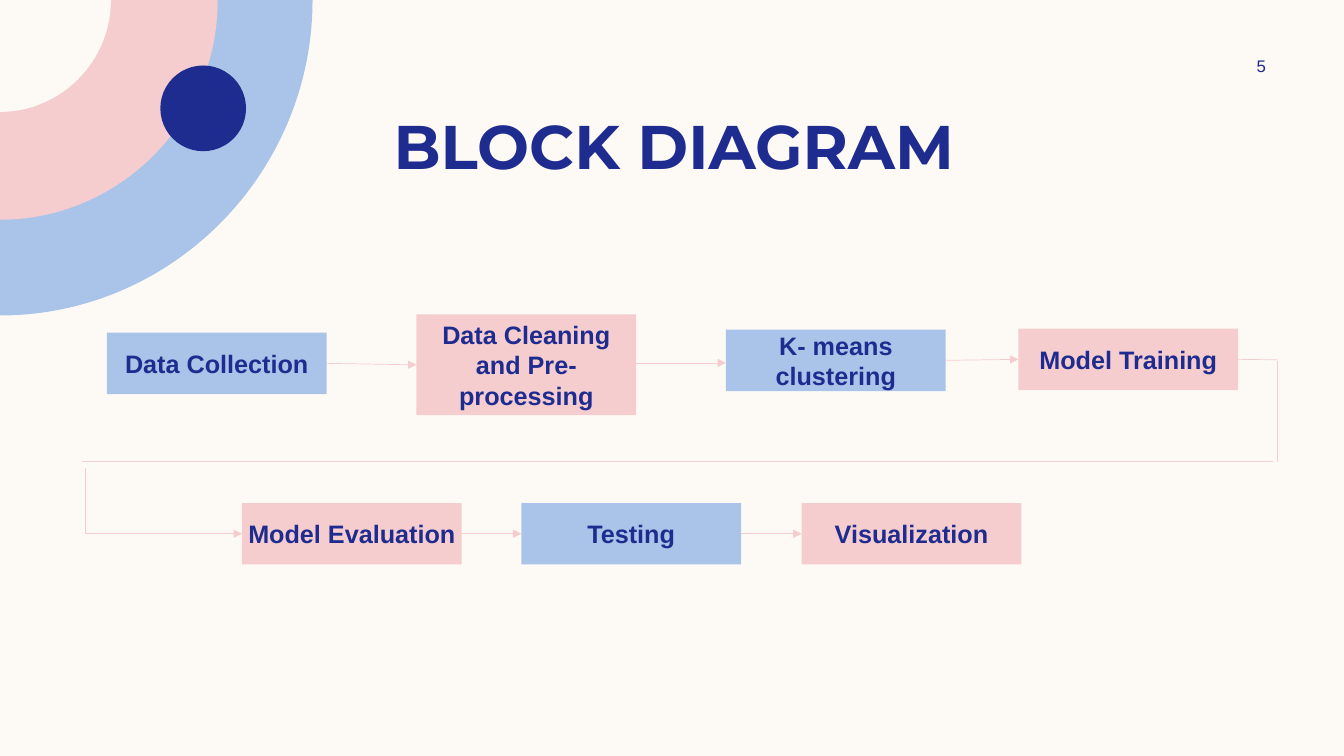
from pptx import Presentation
from pptx.dml.color import RGBColor
from pptx.enum.shapes import MSO_CONNECTOR, MSO_SHAPE
from pptx.enum.text import MSO_ANCHOR, MSO_AUTO_SIZE, PP_ALIGN
from pptx.oxml.ns import qn
from pptx.util import Inches, Pt

RECT, OVAL = MSO_SHAPE.RECTANGLE, MSO_SHAPE.OVAL
LINE = MSO_CONNECTOR.STRAIGHT
MIDDLE, CENTER = MSO_ANCHOR.MIDDLE, PP_ALIGN.CENTER
NO_FIT = MSO_AUTO_SIZE.NONE
CREAM, BLUE, PINK, NAVY = "FDFAF6", "AAC3E8", "F5CDCE", "1F2C8F"
RIGHT, LEFT = 3, 1
BEND = 0.55  # handle length of a quarter circle


def paint(fill, color):
    fill.solid()
    fill.fore_color.rgb = RGBColor.from_string(color)


def write(shape, text, size=18, font="Arial", bold=True, inset=0):
    frame = shape.text_frame
    frame.word_wrap = True
    frame.auto_size = NO_FIT
    frame.vertical_anchor = MIDDLE
    frame.margin_left = frame.margin_right = Inches(inset)
    frame.margin_top = frame.margin_bottom = Inches(inset / 2)
    para = frame.paragraphs[0]
    para.alignment = CENTER
    run = para.add_run()
    run.text = text
    run.font.size, run.font.name, run.font.bold = Pt(size), font, bold
    paint(run.font.fill, NAVY)


deck = Presentation()
deck.slide_width, deck.slide_height = Inches(13.33), Inches(7.5)
slide = deck.slides.add_slide(deck.slide_layouts[5])
paint(slide.background.fill, CREAM)
shapes = slide.shapes

# Corner rings: quarter discs, largest first
for wide, high, color in [(3.1, 3.13, BLUE), (2.16, 2.18, PINK), (1.1, 1.11, CREAM)]:
    w, h = Inches(wide), Inches(high)
    pen = shapes.build_freeform(0, 0)
    pen.add_line_segments([(w, 0), (0, h)], close=True)
    disc = pen.convert_to_shape()
    disc.shadow.inherit = False
    paint(disc.fill, color)
    disc.line.fill.background()
    # Turn the slanted edge into a curve
    edge = list(disc.element.iter(qn("a:lnTo")))[1]
    curve = edge.makeelement(qn("a:cubicBezTo"), {})
    for x, y in [(w, int(h * BEND)), (int(w * BEND), h), (0, h)]:
        curve.append(curve.makeelement(qn("a:pt"), {"x": str(x), "y": str(y)}))
    edge.getparent().replace(edge, curve)

dot = shapes.add_shape(OVAL, Inches(1.59), Inches(0.65), Inches(0.85), Inches(0.85))
dot.shadow.inherit = False
paint(dot.fill, NAVY)
dot.line.fill.background()

# Title and page number
title = shapes.title
title.left, title.top = Inches(2.22), Inches(1.02)
title.width, title.height = Inches(8.93), Inches(0.84)
write(title, "BLOCK DIAGRAM", size=44, font="Montserrat", inset=0.1)

page = shapes.add_textbox(Inches(11.97), Inches(0.5), Inches(1.08), Inches(0.3))
write(page, "5", size=12, bold=False, inset=0.1)

# Steps, in order of flow
low, tall = 4.99, 0.61
steps = [
    ("Data Collection", 1.06, 3.3, tall, BLUE),
    ("Data Cleaning and Pre-processing", 4.13, 3.12, 1, PINK),
    ("K- means clustering", 7.2, 3.27, tall, BLUE),
    ("Model Training", 10.1, 3.26, tall, PINK),
    ("Model Evaluation", 2.4, low, tall, PINK),
    ("Testing", 5.17, low, tall, BLUE),
    ("Visualization", 7.95, low, tall, PINK),
]
boxes = []
for text, x, y, high, color in steps:
    box = shapes.add_shape(RECT, Inches(x), Inches(y), Inches(2.18), Inches(high))
    box.shadow.inherit = False
    paint(box.fill, color)
    box.line.fill.background()
    write(box, text)
    boxes.append(box)

# Links: start, end, width, colour, arrow; an end is a box or a point
load, clean, group, train, judge, test, show = boxes
turn = (0.85, low + tall / 2)
links = [
    ((0.81, 4.58), (12.63, 4.58), 1, "F2D1D1", False),
    (train, (12.67, 3.57), 0.5, PINK, False),
    ((12.67, 3.58), (12.67, 4.58), 0.5, PINK, False),
    (turn, (0.85, 4.64), 0.5, PINK, False),
    (turn, judge, 0.5, PINK, True),
    (load, clean, 0.5, PINK, True),
    ((6.31, 3.6), (7.2, 3.6), 0.5, PINK, True),
    (group, train, 0.5, PINK, True),
    (judge, test, 0.5, PINK, True),
    (test, show, 0.5, PINK, True),
]
for start, end, width, color, arrow in links:
    x1, y1 = start if isinstance(start, tuple) else (0, 0)
    x2, y2 = end if isinstance(end, tuple) else (0, 0)
    link = shapes.add_connector(LINE, Inches(x1), Inches(y1), Inches(x2), Inches(y2))
    if not isinstance(start, tuple):
        link.begin_connect(start, RIGHT)
    if not isinstance(end, tuple):
        link.end_connect(end, LEFT)
    link.line.width = Pt(width)
    paint(link.line.fill, color)
    props = link.element.spPr
    if arrow:
        line = props.find(qn("a:ln"))
        line.append(line.makeelement(qn("a:tailEnd"), {"type": "triangle"}))
    props.append(props.makeelement(qn("a:effectLst"), {}))

deck.save("out.pptx")
